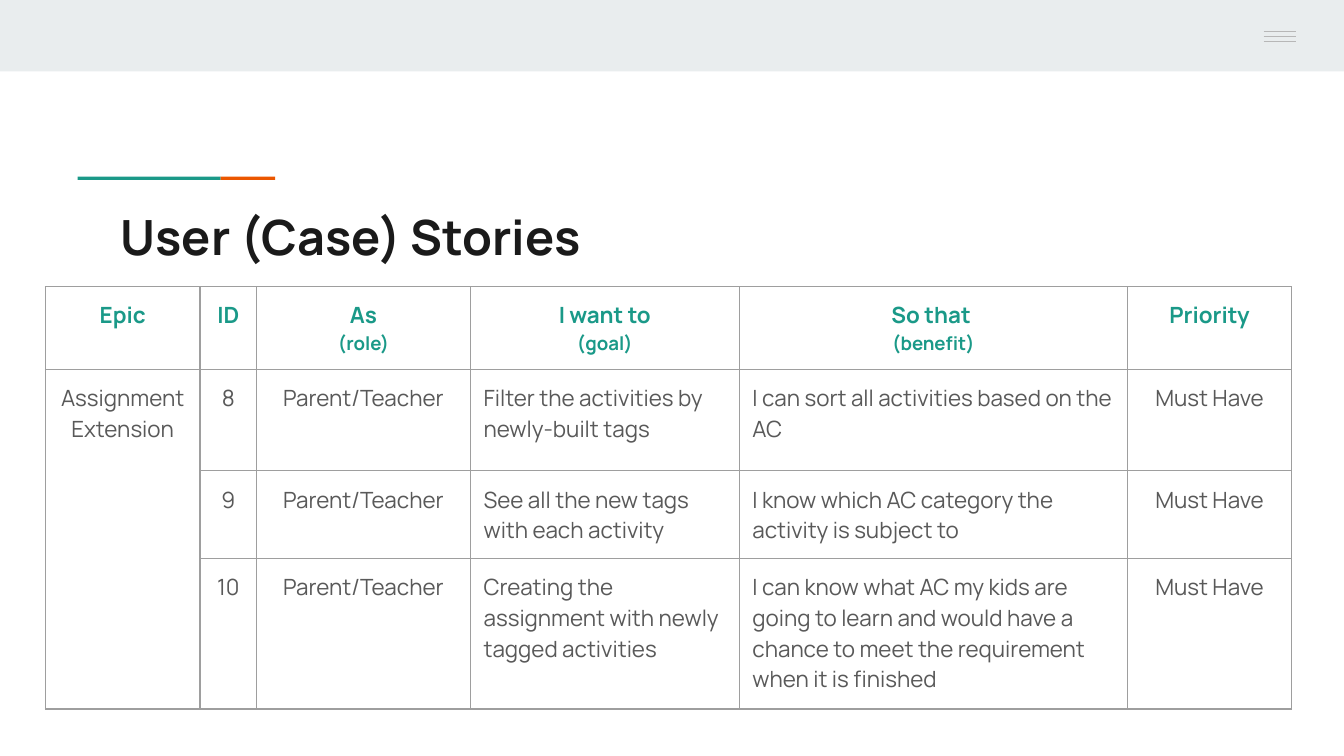
from lxml import etree
from pptx import Presentation
from pptx.dml.color import RGBColor
from pptx.enum.shapes import MSO_CONNECTOR, MSO_SHAPE
from pptx.enum.text import MSO_ANCHOR, MSO_AUTO_SIZE, PP_ALIGN
from pptx.oxml.ns import qn
from pptx.util import Cm, Pt

RECT = MSO_SHAPE.RECTANGLE
STRAIGHT = MSO_CONNECTOR.STRAIGHT
TOP = MSO_ANCHOR.TOP
LEFT, CENTER = PP_ALIGN.LEFT, PP_ALIGN.CENTER
NO_FIT = MSO_AUTO_SIZE.NONE

FONT = "Manrope"
INSET = Cm(0.25)
BAND, RULE, ICON = "E9EDEE", "9E9E9E", "B7B7B7"
TEAL, ORANGE, INK, GRAY = "1A9988", "EB5600", "1A1A1A", "595959"

COLS = [2.92, 1.07, 4.04, 5.08, 7.34, 3.1]
ROWS = [1.55, 1.92, 1.66, 2.84]
HEADERS = [("Epic",), ("ID",), ("As", "(role)"), ("I want to", "(goal)"),
           ("So that ", "(benefit)"), ("Priority",)]
EPIC = "Assignment Extension"
ROLE = "Parent/Teacher"
PRIORITY = "Must Have"
STORIES = [
    ("8", "Filter the activities by newly-built tags",
     "I can sort all activities based on the AC"),
    ("9", "See all the new tags with each activity",
     "I know which AC category the activity is subject to"),
    ("10", "Creating the assignment with newly tagged activities",
     "I can know what AC my kids are going to learn and would have a chance "
     "to meet the requirement when it is finished"),
]


def rgb(color):
    return RGBColor.from_string(color)


def write(p, text, size=12, color=GRAY, bold=False, align=LEFT):
    p.alignment = align
    r = p.add_run()
    r.text = text
    r.font.name = FONT
    r.font.size = Pt(size)
    r.font.bold = bold
    r.font.color.rgb = rgb(color)


def set_insets(box):
    box.margin_left = box.margin_right = INSET
    box.margin_top = box.margin_bottom = INSET


def add_rect(s, x, y, w, h, color):
    sp = s.shapes.add_shape(RECT, Cm(x), Cm(y), Cm(w), Cm(h))
    sp.shadow.inherit = False
    sp.fill.solid()
    sp.fill.fore_color.rgb = rgb(color)
    sp.line.fill.background()


def add_line(s, x1, x2, y):
    cx = s.shapes.add_connector(STRAIGHT, Cm(x1), Cm(y), Cm(x2), Cm(y))
    cx.line.color.rgb = rgb(ICON)
    cx.line.width = Pt(0.75)
    etree.SubElement(cx._element.spPr, qn("a:effectLst"))


def add_title(s, text):
    title = s.shapes.title
    title.left, title.top = Cm(2.03), Cm(3.66)
    title.width, title.height = Cm(21.36), Cm(1.5)
    tf = title.text_frame
    tf.auto_size = NO_FIT
    tf.vertical_anchor = TOP
    set_insets(tf)
    write(tf.paragraphs[0], text, size=26, color=INK, bold=True)


def format_cell(cell):
    set_insets(cell)
    cell.vertical_anchor = TOP
    tcPr = cell._tc.get_or_add_tcPr()
    for side in ("a:lnL", "a:lnR", "a:lnT", "a:lnB"):
        ln = etree.SubElement(tcPr, qn(side), w=str(Pt(0.75)))
        fill = etree.SubElement(ln, qn("a:solidFill"))
        etree.SubElement(fill, qn("a:srgbClr"), val=RULE)
    cell.fill.background()


def add_stories(s):
    table = s.shapes.add_table(len(ROWS), len(COLS), Cm(0.86), Cm(5.42),
                               Cm(sum(COLS)), Cm(sum(ROWS))).table
    table.first_row = table.horz_banding = False
    for col, width in zip(table.columns, COLS):
        col.width = Cm(width)
    for row, height in zip(table.rows, ROWS):
        row.height = Cm(height)
    for cell in table.iter_cells():
        format_cell(cell)

    for c, (label, *notes) in enumerate(HEADERS):
        tf = table.cell(0, c).text_frame
        write(tf.paragraphs[0], label, color=TEAL, bold=True, align=CENTER)
        for note in notes:
            write(tf.add_paragraph(), note, size=10, color=TEAL, bold=True,
                  align=CENTER)

    epic = table.cell(1, 0)
    epic.merge(table.cell(len(STORIES), 0))
    write(epic.text_frame.paragraphs[0], EPIC, align=CENTER)
    for r, (number, goal, benefit) in enumerate(STORIES, 1):
        for c, text in enumerate((number, ROLE, goal, benefit, PRIORITY), 1):
            align = LEFT if text in (goal, benefit) else CENTER
            write(table.cell(r, c).text_frame.paragraphs[0], text, align=align)


def main():
    prs = Presentation()
    prs.slide_width, prs.slide_height = Cm(25.4), Cm(14.29)
    s = prs.slides.add_slide(prs.slide_layouts[5])
    add_rect(s, 0, 0, 25.4, 1.35, BAND)
    add_rect(s, 1.47, 3.34, 2.7, 0.06, TEAL)
    add_rect(s, 4.17, 3.34, 1.03, 0.06, ORANGE)
    add_rect(s, 23.01, 0, 2.39, 1.27, BAND)
    for i in range(3):
        add_line(s, 23.88, 24.49, 0.6 + 0.09 * i)
    add_title(s, "User (Case) Stories")
    add_stories(s)
    prs.save("out.pptx")


if __name__ == "__main__":
    main()
